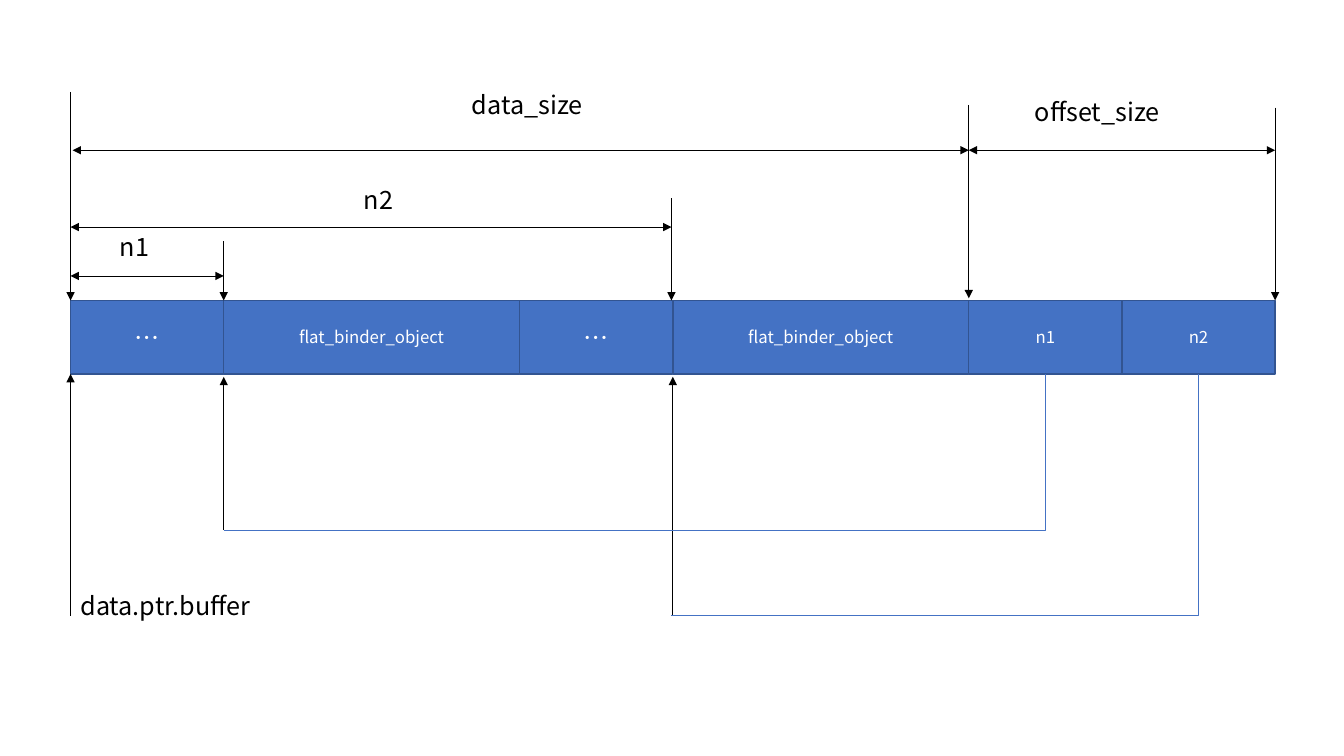
from lxml.etree import SubElement
from pptx import Presentation
from pptx.dml.color import RGBColor
from pptx.enum.shapes import MSO_CONNECTOR, MSO_SHAPE
from pptx.enum.text import MSO_ANCHOR, PP_ALIGN
from pptx.oxml.ns import qn
from pptx.util import Pt

FONT = "Noto Sans CJK SC"
BLUE = RGBColor(0x44, 0x72, 0xC4)
DARK_BLUE = RGBColor(0x32, 0x54, 0x91)
BLACK = RGBColor(0, 0, 0)
WHITE = RGBColor(0xFF, 0xFF, 0xFF)


def set_text(shape, text, size, color):
    shape.text_frame.text = text
    font = shape.text_frame.paragraphs[0].runs[0].font
    font.name = FONT
    font.size = Pt(size)
    font.color.rgb = color
    SubElement(font._element, qn("a:ea"), typeface=FONT)


def add_line(kind, start, end, color, arrow_ends=()):
    connector = slide.shapes.add_connector(
        kind, Pt(start[0]), Pt(start[1]), Pt(end[0]), Pt(end[1]))
    connector.line.color.rgb = color
    connector.line.width = Pt(0.5)
    for arrow_end in arrow_ends:
        SubElement(connector.line._get_or_add_ln(), qn(arrow_end), type="triangle")
    SubElement(connector._element.spPr, qn("a:effectLst"))
    return connector


presentation = Presentation()
presentation.slide_width = Pt(960)
presentation.slide_height = Pt(540)
slide = presentation.slides.add_slide(presentation.slide_layouts[6])

BUFFER_TOP = 214.6
BUFFER_HEIGHT = 52.6
BUFFER_BOTTOM = BUFFER_TOP + BUFFER_HEIGHT
NARROW = 109.4
WIDE = 211.4

cells = [
    ("…", NARROW, 18),
    ("flat_binder_object", WIDE, 12),
    ("…", NARROW, 18),
    ("flat_binder_object", WIDE, 12),
    ("n1", NARROW, 12),
    ("n2", NARROW, 12),
]
edges = [50.4]
for text, width, size in cells:
    cell = slide.shapes.add_shape(
        MSO_SHAPE.RECTANGLE, Pt(edges[-1]), Pt(BUFFER_TOP), Pt(width), Pt(BUFFER_HEIGHT))
    cell.shadow.inherit = False
    cell.fill.solid()
    cell.fill.fore_color.rgb = BLUE
    cell.line.color.rgb = DARK_BLUE
    cell.line.width = Pt(1)
    set_text(cell, text, size, WHITE)
    cell.text_frame.vertical_anchor = MSO_ANCHOR.MIDDLE
    cell.text_frame.paragraphs[0].alignment = PP_ALIGN.CENTER
    edges.append(edges[-1] + width)

buffer_start, first_object, _, second_object, offsets_start, second_offset, buffer_end = edges

pointers = [
    (buffer_start, 65.7, BUFFER_TOP),
    (first_object, 172.2, BUFFER_TOP),
    (second_object - 1, 141.6, BUFFER_TOP),
    (offsets_start, 75, BUFFER_TOP - 1.5),
    (buffer_end, 76.8, BUFFER_TOP),
    (buffer_start, 439.7, BUFFER_BOTTOM),
    (first_object, 378.7, BUFFER_BOTTOM + 2),
    (second_object, 439.7, BUFFER_BOTTOM + 2),
]
for x, tail_y, tip_y in pointers:
    add_line(MSO_CONNECTOR.STRAIGHT, (x, tail_y), (x, tip_y), BLACK, ["a:tailEnd"])

dimensions = [
    (buffer_start, first_object, 197.1),
    (buffer_start, second_object - 1, 162.2),
    (buffer_start + 1.5, offsets_start, 107.3),
    (offsets_start, buffer_end, 107.3),
]
for left, right, y in dimensions:
    add_line(MSO_CONNECTOR.STRAIGHT, (left, y), (right, y), BLACK, ["a:headEnd", "a:tailEnd"])

offset_links = [
    (offsets_start + NARROW / 2, first_object, 378.7),
    (second_offset + NARROW / 2, second_object - 1, 439.7),
]
for right, left, bottom in offset_links:
    center_x = (left + right) / 2
    center_y = (BUFFER_BOTTOM + bottom) / 2
    half_width = (right - left) / 2
    half_height = (bottom - BUFFER_BOTTOM) / 2
    link = add_line(
        MSO_CONNECTOR.ELBOW,
        (center_x - half_height, center_y - half_width),
        (center_x + half_height, center_y + half_width), BLUE)
    properties = link._element.spPr
    properties.find(qn("a:xfrm")).set("rot", "5400000")
    properties.find(qn("a:prstGeom")).set("prst", "bentConnector2")

labels = [
    ("n1", 78.5, 162, 52),
    ("n2", 252.9, 128, 52),
    ("data_size", 330, 60.3, 130),
    ("offset_size", 732.2, 65.5, 144),
    ("data.ptr.buffer", 50.4, 418.3, 191.5),
]
for text, left, top, width in labels:
    label = slide.shapes.add_textbox(Pt(left), Pt(top), Pt(width), Pt(43.2))
    label.text_frame.word_wrap = True
    set_text(label, text, 18, BLACK)

presentation.save("out.pptx")
